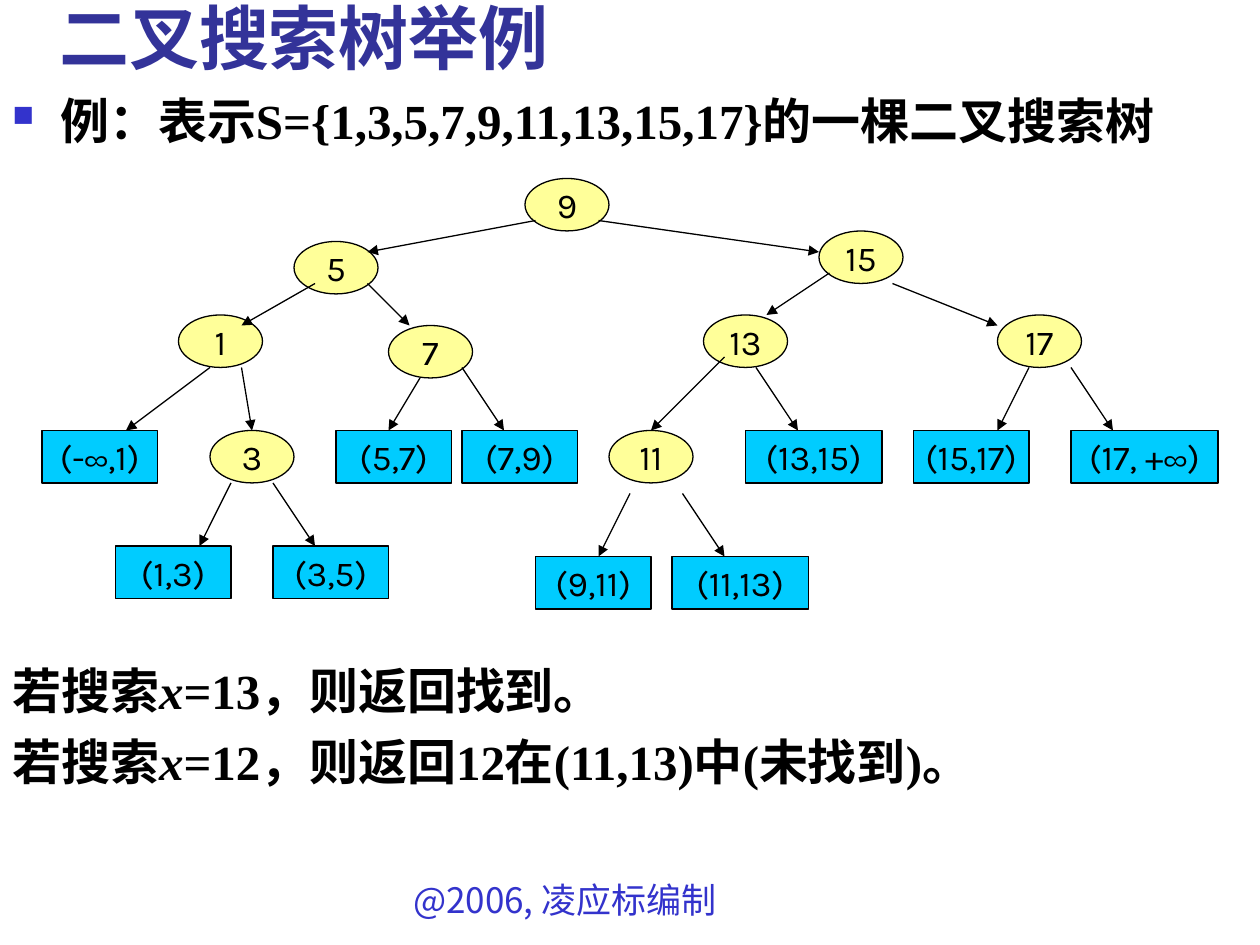
from typing import NamedTuple

from lxml import etree
from pptx import Presentation
from pptx import util as u
from pptx.dml.color import RGBColor
from pptx.enum import shapes, text
from pptx.oxml import ns

BLACK = "000000"
BLUE = "3333CC"
TITLE_BLUE = "333399"
KEY_FILL = "FFFF99"
GAP_FILL = "00CCFF"
SERIF = "Times New Roman"
CHINESE = "Noto Sans CJK SC"
NODE_FONT = "Karla"
LINE_WIDTH = u.Pt(0.75)
NODE_HEIGHT = 5
KEY_WIDTH = 8


class Key(NamedTuple):
    label: str
    left: int
    top: int


class Gap(NamedTuple):
    label: str
    left: int
    top: int
    width: int = 11


class Arrow(NamedTuple):
    start_x: int
    start_y: int
    end_x: int
    end_y: int


class Run(NamedTuple):
    words: str
    italic: bool = False


KEYS = [
    Key("9", 50, 17),
    Key("5", 28, 23), Key("15", 78, 22),
    Key("1", 17, 30), Key("7", 37, 31), Key("13", 67, 30), Key("17", 95, 30),
    Key("3", 20, 41), Key("11", 58, 41),
]
GAPS = [
    Gap("(-∞,1)", 4, 41), Gap("(5,7)", 32, 41), Gap("(7,9)", 44, 41),
    Gap("(13,15)", 71, 41, 13), Gap("(15,17)", 87, 41), Gap("(17, +∞)", 102, 41, 14),
    Gap("(1,3)", 11, 52), Gap("(3,5)", 26, 52),
    Gap("(9,11)", 51, 53), Gap("(11,13)", 64, 53, 13),
]
ARROWS = [
    Arrow(51, 21, 35, 24), Arrow(57, 21, 78, 24),
    Arrow(30, 27, 23, 31), Arrow(35, 27, 39, 31),
    Arrow(79, 26, 73, 30), Arrow(85, 27, 95, 31),
    Arrow(20, 35, 12, 41), Arrow(23, 35, 24, 41),
    Arrow(40, 36, 37, 41), Arrow(44, 35, 48, 41),
    Arrow(69, 34, 62, 41), Arrow(72, 35, 76, 41),
    Arrow(98, 35, 95, 41), Arrow(102, 35, 106, 41),
    Arrow(22, 46, 19, 52), Arrow(26, 46, 30, 52),
    Arrow(60, 47, 57, 53), Arrow(65, 47, 69, 53),
]


def color(value: str) -> RGBColor:
    return RGBColor.from_string(value)


def grid(steps: int) -> u.Length:
    """Convert steps of the tree's grid, twelve to the inch, to a length."""
    return u.Inches(steps / 12)


def set_font(paragraph, name: str, size: int, value: str, bold: bool = False) -> None:
    font = paragraph.font
    font.name, font.size, font.bold = name, u.Pt(size), bold
    font.color.rgb = color(value)
    defaults = paragraph._p.pPr.find(ns.qn("a:defRPr"))
    etree.SubElement(defaults, ns.qn("a:ea"), typeface=CHINESE)


def add_text_frame(slide, left: float, top: float, width: float, height: float):
    box = slide.shapes.add_textbox(
        u.Inches(left), u.Inches(top), u.Inches(width), u.Inches(height))
    box.text_frame.word_wrap = True
    return box.text_frame


def add_bullet(paragraph) -> None:
    """Give the paragraph a small blue square and a hanging indent."""
    properties = paragraph._p.get_or_add_pPr()
    properties.set("marL", str(u.Inches(0.38)))
    properties.set("indent", str(u.Inches(-0.38)))
    bullet_color = etree.SubElement(properties, ns.qn("a:buClr"))
    etree.SubElement(bullet_color, ns.qn("a:srgbClr"), val=BLUE)
    etree.SubElement(properties, ns.qn("a:buSzPct"), val="60000")
    etree.SubElement(properties, ns.qn("a:buChar"), char="■")


def add_body_line(paragraph, runs: list[Run], bulleted: bool = False) -> None:
    paragraph.space_before = u.Pt(7)
    if bulleted:
        add_bullet(paragraph)
    set_font(paragraph, SERIF, 28, BLACK, bold=True)
    for words, italic in runs:
        run = paragraph.add_run()
        run.text = words
        if italic:
            run.font.italic = True


def add_node(slide, kind, label: str, left: int, top: int, width: int, fill: str) -> None:
    shape = slide.shapes.add_shape(
        kind, grid(left), grid(top), grid(width), grid(NODE_HEIGHT))
    shape.shadow.inherit = False
    shape.fill.solid()
    shape.fill.fore_color.rgb = color(fill)
    shape.line.color.rgb = color(BLACK)
    shape.line.width = LINE_WIDTH
    frame = shape.text_frame
    frame.word_wrap = False
    frame.vertical_anchor = text.MSO_ANCHOR.MIDDLE
    paragraph = frame.paragraphs[0]
    paragraph.text = label
    paragraph.alignment = text.PP_ALIGN.CENTER
    set_font(paragraph, NODE_FONT, 20, BLACK)


def add_arrow(slide, arrow: Arrow) -> None:
    connector = slide.shapes.add_connector(
        shapes.MSO_CONNECTOR.STRAIGHT, *(grid(steps) for steps in arrow))
    connector.line.color.rgb = color(BLACK)
    connector.line.width = LINE_WIDTH
    line = connector.line._get_or_add_ln()
    etree.SubElement(line, ns.qn("a:tailEnd"), type="triangle")
    etree.SubElement(connector._element.spPr, ns.qn("a:effectLst"))


def add_words(slide) -> None:
    title = add_text_frame(slide, 0, 0, 10, 0.67)
    title.margin_left = u.Inches(0.47)
    title.vertical_anchor = text.MSO_ANCHOR.BOTTOM
    title.paragraphs[0].text = "二叉搜索树举例"
    set_font(title.paragraphs[0], SERIF, 40, TITLE_BLUE, bold=True)

    example = add_text_frame(slide, 0, 0.67, 10, 0.67)
    add_body_line(example.paragraphs[0],
                  [Run("例：表示S={1,3,5,7,9,11,13,15,17}的一棵二叉搜索树")], bulleted=True)

    searches = add_text_frame(slide, 0, 5.19, 10, 1.25)
    add_body_line(searches.paragraphs[0],
                  [Run("若搜索"), Run("x", True), Run("=13，则返回找到。")])
    add_body_line(searches.add_paragraph(),
                  [Run("若搜索"), Run("x", True), Run("=12，则返回12在(11,13)中(未找到)。")])

    footer = add_text_frame(slide, 3.18, 6.92, 4.9, 0.44)
    footer.paragraphs[0].text = "@2006, 凌应标编制"
    footer.paragraphs[0].space_before = u.Pt(12.5)
    set_font(footer.paragraphs[0], CHINESE, 20, BLUE)


def main() -> None:
    presentation = Presentation()
    presentation.slide_width = u.Inches(10)
    presentation.slide_height = u.Inches(7.5)
    slide = presentation.slides.add_slide(presentation.slide_layouts[6])
    add_words(slide)
    for label, left, top in KEYS:
        add_node(slide, shapes.MSO_SHAPE.OVAL, label, left, top, KEY_WIDTH, KEY_FILL)
    for label, left, top, width in GAPS:
        add_node(slide, shapes.MSO_SHAPE.RECTANGLE, label, left, top, width, GAP_FILL)
    for arrow in ARROWS:
        add_arrow(slide, arrow)
    presentation.save("out.pptx")


if __name__ == "__main__":
    main()
